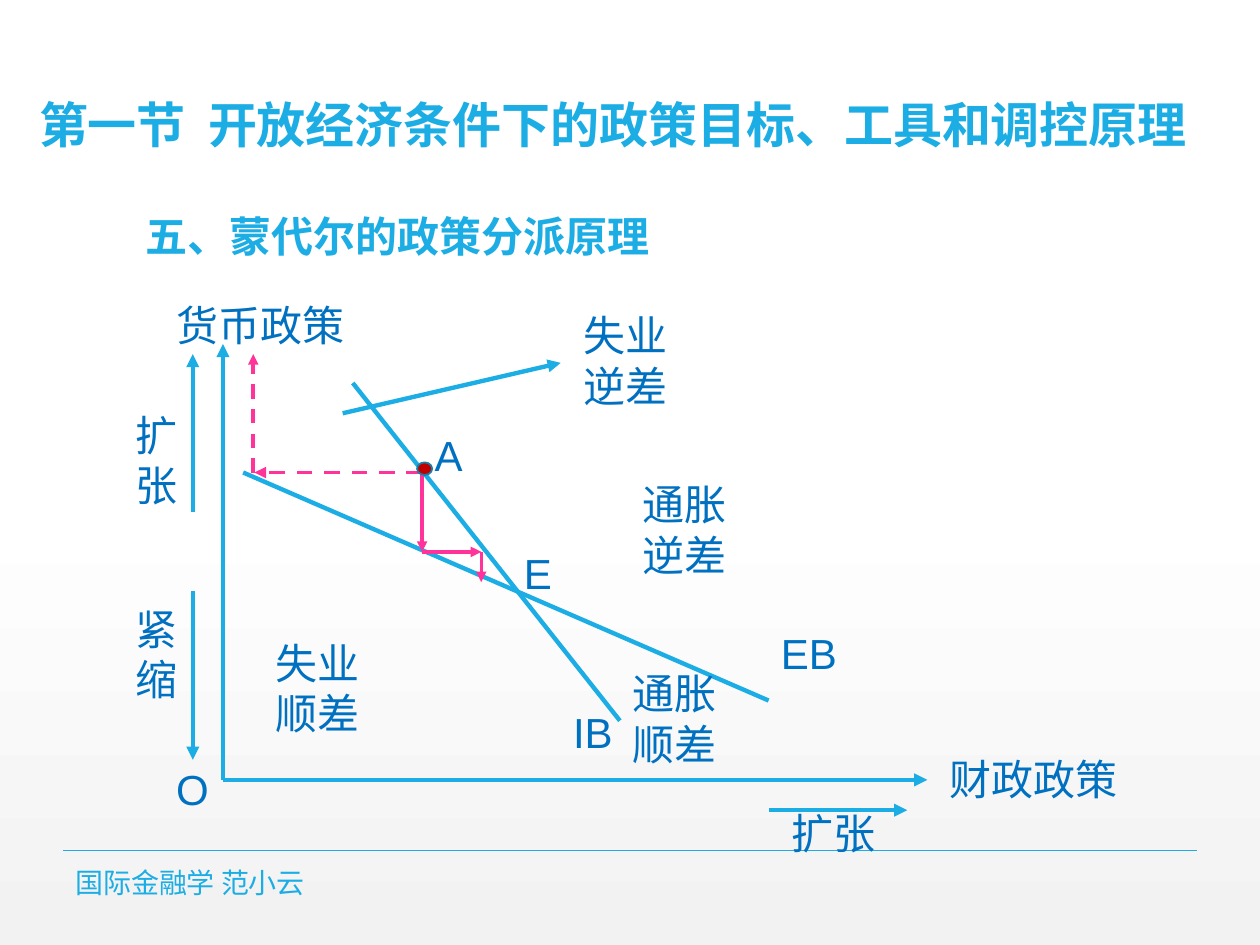
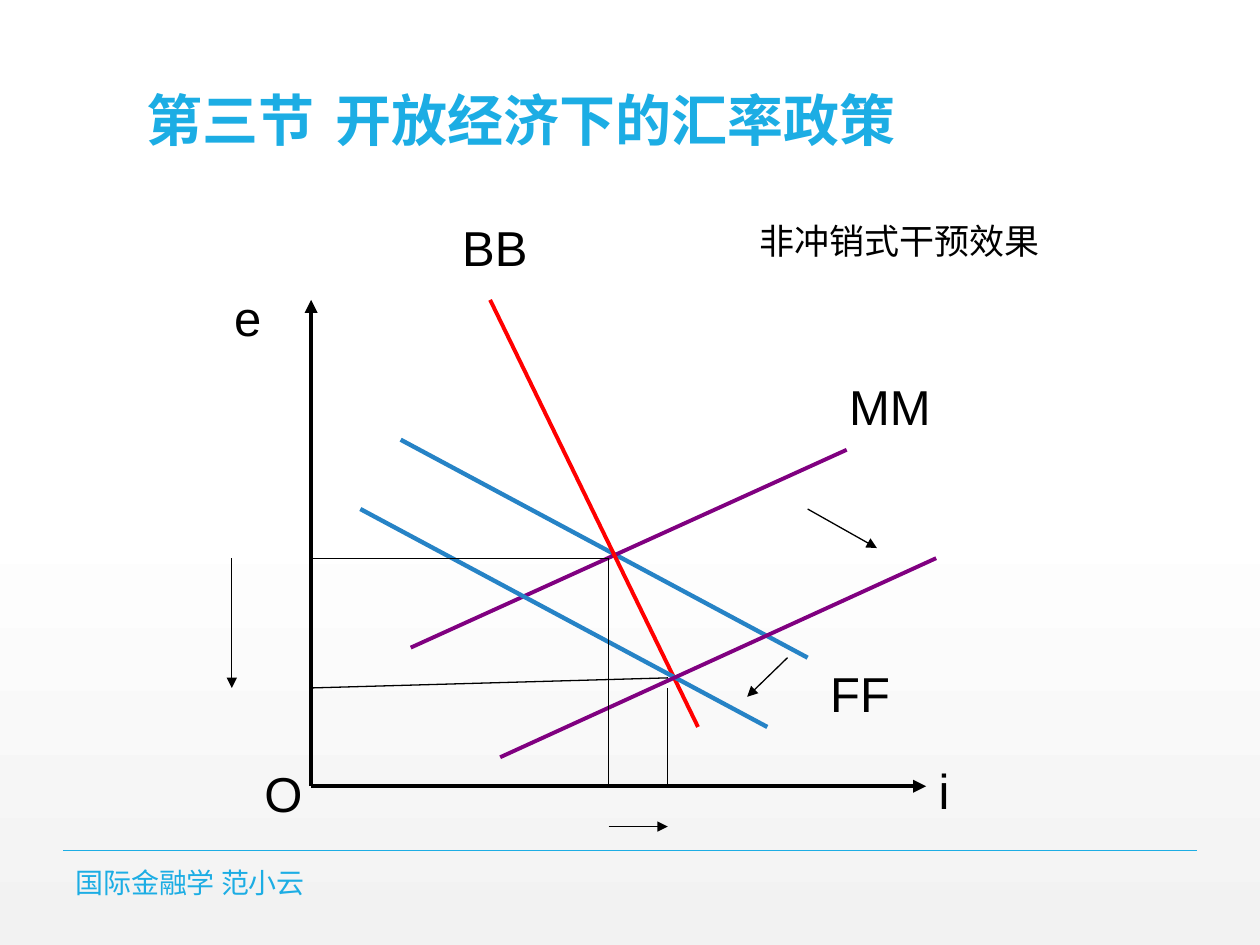
import itertools

import pptx
import pptx.dml.color
import pptx.enum.dml
import pptx.enum.shapes
import pptx.enum.text
import pptx.oxml
import pptx.oxml.ns
import pptx.util

Inches = pptx.util.Inches
Pt = pptx.util.Pt
ANCHOR = pptx.enum.text.MSO_ANCHOR

LATIN, CJK = "Arial", "Noto Sans CJK SC"
SKY, LABEL_BLUE, PINK = "1CADE4", "0070C0", "FF3399"
DOT_RED, DOT_EDGE = "C00000", "1580A9"
BLACK, BLUE, PURPLE, RED = "000000", "2683C6", "800080", "FF0000"
FOOTER = "国际金融学 范小云"

ASSIGNMENT = {
    "title": ("第一节  开放经济条件下的政策目标、工具和调控原理", 28, (0.21, 0.02, 9.79, 1.25)),
    "subtitle": ("五、蒙代尔的政策分派原理", (1.06, 1.58, 7.88, 0.6)),
    "label_style": (24, LABEL_BLUE),
    "strokes": [
        ([(1.77, 6.19), (1.77, 2.73)], SKY, 2.5, "arrow"),
        ([(1.77, 6.19), (7.36, 6.19)], SKY, 2.5, "arrow"),
        ([(1.53, 4.06), (1.53, 2.81)], SKY, 2.5, "arrow"),
        ([(1.53, 4.69), (1.53, 6.03)], SKY, 2.5, "arrow"),
        ([(6.1, 6.43), (7.2, 6.43)], SKY, 2.5, "arrow"),
        ([(2.8, 3.04), (4.92, 5.72)], SKY, 2.5, "plain"),
        ([(1.93, 3.75), (6.1, 5.56)], SKY, 2.5, "plain"),
        ([(2.72, 3.28), (4.45, 2.88)], SKY, 2.5, "arrow"),
        ([(3.35, 3.75), (3.35, 4.38), (3.82, 4.38), (3.82, 4.62)], PINK, 2, "arrow"),
        ([(3.35, 3.75), (2.02, 3.75)], PINK, 2.25, "dashed arrow"),
        ([(2.01, 3.75), (2.01, 2.81)], PINK, 2, "dashed arrow"),
    ],
    "labels": [
        ("货币政策", 1.3, 2.33, 2.87),
        ("财政政策", 7.44, 5.93, 2.56),
        ("O", 1.3, 6.01, 0.47),
        ("扩张", 0.98, 3.2, 0.47),
        ("紧缩", 0.98, 4.74, 0.47),
        ("EB", 6.1, 4.93, 0.87),
        ("IB", 4.45, 5.56, 0.71),
        ("E", 4.06, 4.3, 0.39),
        ("扩张", 6.18, 6.36, 1.18),
        ("通胀逆差", 5, 3.75, 1.1),
        ("失业顺差", 2.09, 5.01, 1.18),
        ("失业逆差", 4.53, 2.41, 1.1),
        ("通胀顺差", 4.92, 5.25, 1.1),
        ("A", 3.35, 3.36, 0.55),
    ],
    "start_point": (3.31, 3.67, 0.12, 0.1),
}

INTERVENTION = {
    "title": ("第三节\t开放经济下的汇率政策", 32, (1.06, 0.02, 7.88, 1.25)),
    "label_style": (28, BLACK),
    "strokes": [
        ([(2.47, 6.24), (2.47, 2.38)], BLACK, 2.5, "arrow"),
        ([(2.47, 6.24), (7.35, 6.24)], BLACK, 2.5, "arrow"),
        ([(3.18, 3.49), (6.41, 5.22)], BLUE, 2.5, "plain"),
        ([(3.26, 5.14), (6.72, 3.57)], PURPLE, 2.25, "plain"),
        ([(3.89, 2.38), (5.54, 5.77)], RED, 2.25, "plain"),
        ([(2.86, 4.04), (6.09, 5.77)], BLUE, 2.5, "plain"),
        ([(6.25, 5.22), (5.93, 5.53)], BLACK, 0.75, "arrow"),
        ([(3.97, 6.01), (7.43, 4.43)], PURPLE, 2.25, "plain"),
        ([(6.41, 4.04), (6.96, 4.35)], BLACK, 0.75, "arrow"),
        ([(2.47, 4.43), (4.83, 4.43), (4.83, 6.24)], BLACK, 0.75, "plain"),
        ([(5.3, 5.46), (5.3, 6.24)], BLACK, 0.75, "plain"),
        ([(5.3, 5.38), (2.47, 5.46)], BLACK, 0.75, "plain"),
        ([(4.83, 6.56), (5.3, 6.56)], BLACK, 0.75, "arrow"),
        ([(1.84, 4.43), (1.84, 5.46)], BLACK, 0.75, "arrow"),
    ],
    "labels": [
        ("e", 1.76, 2.23, 0.55),
        ("i", 7.35, 5.99, 0.55),
        ("MM", 6.64, 2.94, 1.02),
        ("BB", 3.57, 1.68, 0.79),
        ("FF", 6.49, 5.22, 0.71),
        ("O", 2, 6.01, 0.55),
    ],
    "caption": ("非冲销式干预效果", (5.93, 1.69, 4.33, 0.44)),
}


def rgb(color):
    return pptx.dml.color.RGBColor.from_string(color)


def place(shape, box):
    shape.left, shape.top, shape.width, shape.height = map(Inches, box)


def write(shape, text, size, color, font=LATIN, bold=False, anchor=ANCHOR.TOP, spacing=None):
    frame = shape.text_frame
    frame.word_wrap = True
    frame.auto_size = pptx.enum.text.MSO_AUTO_SIZE.NONE
    frame.vertical_anchor = anchor
    paragraph = frame.paragraphs[0]
    paragraph.alignment = pptx.enum.text.PP_ALIGN.LEFT
    paragraph.line_spacing = spacing
    run = paragraph.add_run()
    run.text = text
    run.font.size, run.font.bold, run.font.name = Pt(size), bold, font
    run.font.color.rgb = rgb(color)
    east_asian = pptx.oxml.parse_xml(f'<a:ea {pptx.oxml.ns.nsdecls("a")} typeface="{CJK}"/>')
    run.font._element.append(east_asian)


def add_text(slide, box, *args, **style):
    write(slide.shapes.add_textbox(*map(Inches, box)), *args, **style)


def add_stroke(slide, points, color, width, kind):
    for start, end in itertools.pairwise(points):
        stroke = slide.shapes.add_connector(
            pptx.enum.shapes.MSO_CONNECTOR.STRAIGHT, *map(Inches, start + end))
        stroke.line.color.rgb = rgb(color)
        stroke.line.width = Pt(width)
        if "dashed" in kind:
            stroke.line.dash_style = pptx.enum.dml.MSO_LINE.DASH
        namespace = pptx.oxml.ns.nsdecls("a")
        if "arrow" in kind:
            stroke.line._get_or_add_ln().append(
                pptx.oxml.parse_xml(f'<a:tailEnd {namespace} type="triangle"/>'))
        stroke._element.spPr.append(pptx.oxml.parse_xml(f"<a:effectLst {namespace}/>"))


def paint_background(master):
    fill = master.background.fill
    fill.gradient()
    fill.gradient_angle = 270
    for stop, position, color in zip(fill.gradient_stops, (0.53, 1), ("FFFFFF", "F2F2F2")):
        stop.position = position
        stop.color.rgb = rgb(color)


def add_slide(deck, content):
    slide = deck.slides.add_slide(deck.slide_layouts[5])
    add_stroke(slide, [(0.5, 6.75), (9.5, 6.75)], SKY, 1, "plain")
    add_text(slide, (0.5, 6.88, 5.03, 0.24), FOOTER, 16, SKY, font=CJK, anchor=ANCHOR.MIDDLE)

    heading, heading_size, heading_box = content["title"]
    place(slide.shapes.title, heading_box)
    write(slide.shapes.title, heading, heading_size, SKY, bold=True,
          anchor=ANCHOR.BOTTOM, spacing=0.9)

    if "subtitle" in content:
        subtitle, box = content["subtitle"]
        add_text(slide, box, subtitle, 24, SKY, font=CJK, bold=True, spacing=1.1)
    for stroke in content["strokes"]:
        add_stroke(slide, *stroke)
    for label, left, top, width in content["labels"]:
        add_text(slide, (left, top, width, 0.5), label, *content["label_style"])
    if "caption" in content:
        caption, box = content["caption"]
        add_text(slide, box, caption, 20, BLACK)
    if "start_point" in content:
        dot = slide.shapes.add_shape(
            pptx.enum.shapes.MSO_SHAPE.OVAL, *map(Inches, content["start_point"]))
        dot.shadow.inherit = False
        dot.fill.solid()
        dot.fill.fore_color.rgb = rgb(DOT_RED)
        dot.line.color.rgb = rgb(DOT_EDGE)
        dot.line.width = Pt(1)


def main():
    deck = pptx.Presentation()
    deck.slide_width, deck.slide_height = Inches(10), Inches(7.5)
    paint_background(deck.slide_master)
    for content in (ASSIGNMENT, INTERVENTION):
        add_slide(deck, content)
    deck.save("out.pptx")


if __name__ == "__main__":
    main()
